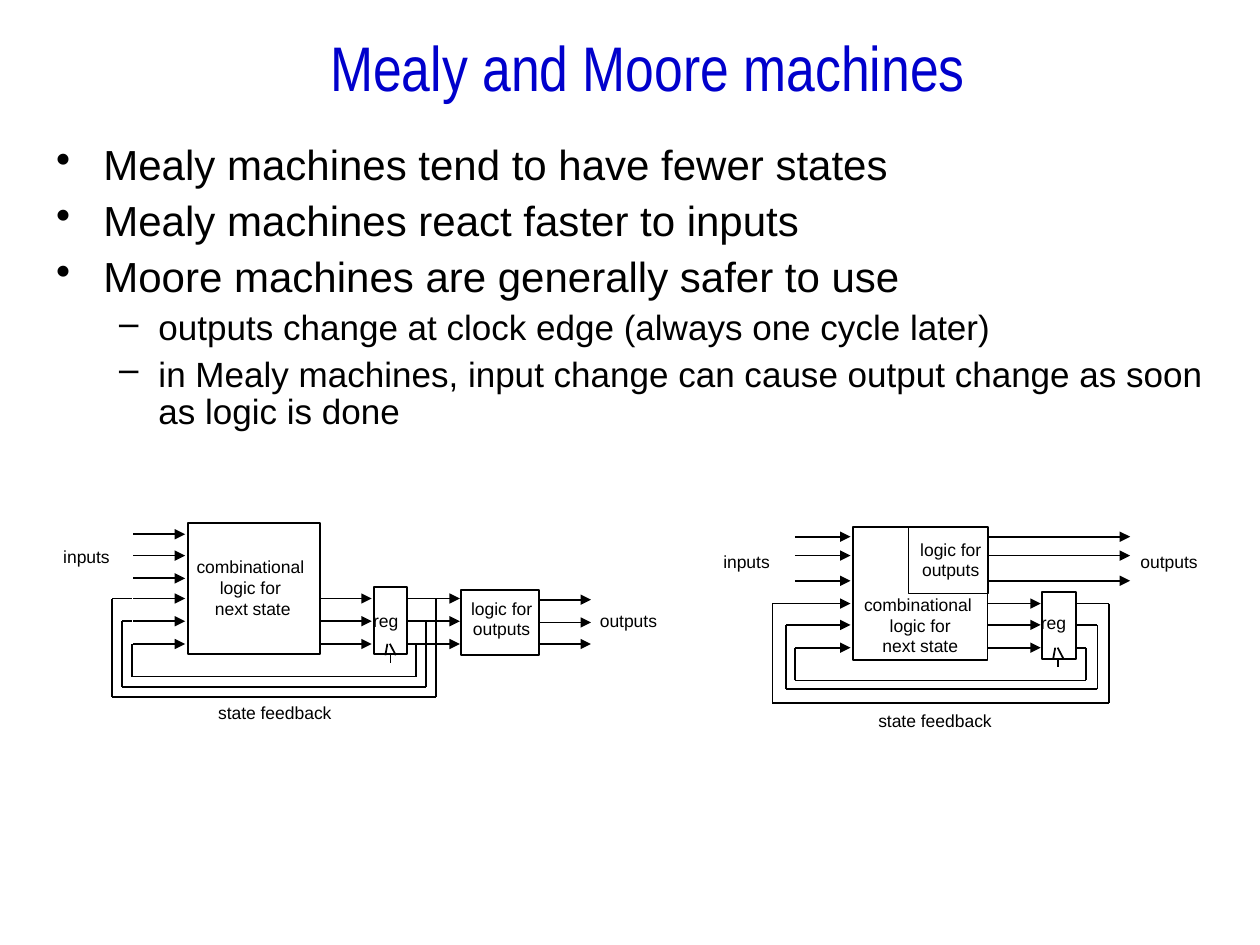
from lxml import etree
from pptx import Presentation
from pptx.dml.color import RGBColor
from pptx.enum import shapes, text
from pptx.oxml import ns
from pptx.util import Pt

COLORS = {"ink": "000000", "title": "0000CC", "paper": "FFFFFF"}

BULLETS = [
    (0, "Mealy machines tend to have fewer states"),
    (0, "Mealy machines react faster to inputs"),
    (0, "Moore machines are generally safer to use"),
    (1, "outputs change at clock edge (always one cycle later)"),
    (1, "in Mealy machines, input change can cause output change as soon as logic is done"),
]
LEVELS = [
    {"mark": "•", "size": 24, "before": 6, "margin": 27, "hang": 27},
    {"mark": "–", "size": 20, "before": 5, "margin": 58.5, "hang": 22.5},
]

MOORE = {
    "boxes": [(107.3, 298.8, 75.6, 74.9), (213.8, 335.5, 18.7, 38.2), (263.5, 337, 44.6, 37.4)],
    "arrows": [
        (76.3, 105.8, (305.3, 317.5, 330.5, 342, 355, 368)),
        (182.9, 212.4, (342, 355, 368)),
        (233.3, 262.8, (342, 355, 368)),
        (308.2, 337.7, (342.7, 355.7, 368)),
    ],
    "feedback": (232.6, 75.6, [(368, 237.6, 386.6, 75.6), (355, 243.4, 392.4, 69.8),
                               (342, 249.1, 398.2, 64.1)]),
    "clock": (223.2, 374.4),
    "labels": [
        ("inputs", 34.6, 310.3, 38, False),
        ("outputs", 341.3, 347, 45, False),
        ("reg", 211.7, 347, 30, False),
        ("state feedback", 123.1, 399.6, 109, False),
        ("combinational \nlogic for \nnext state", 106.6, 316.1, 75.6, True),
        ("logic for\noutputs", 258.5, 339.8, 56.2, True),
    ],
}

MEALY = {
    "boxes": [(487.4, 301, 77, 76.3), (595.4, 338.4, 19.4, 38.2), (519.1, 301, 45.4, 38.2)],
    "arrows": [
        (454.3, 486, (306.7, 317.5, 331.9, 344.9, 357.1, 370.1)),
        (564.5, 645.8, (306.7, 317.5, 331.9)),
        (564.5, 594.7, (344.9, 357.1, 370.1)),
    ],
    "feedback": (615.6, 454.3, [(370.1, 620.6, 388.8, 454.3), (357.1, 627.1, 393.8, 449.3),
                                (344.9, 633.6, 401.8, 441.4)]),
    "clock": (604.8, 376.6),
    "labels": [
        ("inputs", 411.8, 313.2, 40, False),
        ("outputs", 650.2, 313.2, 46, False),
        ("reg", 593.3, 347.8, 32, False),
        ("state feedback", 500.4, 403.9, 114, False),
        ("combinational \nlogic for\nnext state", 487.4, 337.7, 77, True),
        ("logic for\noutputs", 514.1, 306, 58.3, True),
    ],
}


def color(name):
    return RGBColor.from_string(COLORS[name])


def set_font(paragraph, name, size, color_name):
    font = paragraph.font
    font.name, font.size = name, Pt(size)
    font.color.rgb = color(color_name)


def add_title(slide, words):
    title = slide.shapes.title
    title.left, title.top, title.width, title.height = Pt(19), Pt(8), Pt(702), Pt(60)
    frame = title.text_frame
    frame.text = words
    frame.auto_size = text.MSO_AUTO_SIZE.NONE
    frame.vertical_anchor = text.MSO_ANCHOR.MIDDLE
    paragraph = frame.paragraphs[0]
    paragraph.alignment = text.PP_ALIGN.CENTER
    set_font(paragraph, "Arial Narrow", 36, "title")


def add_bullets(slide, bullets):
    box = slide.shapes.add_textbox(Pt(25), Pt(79), Pt(678), Pt(384))
    frame = box.text_frame
    frame.word_wrap = True
    for index, (level, words) in enumerate(bullets):
        style = LEVELS[level]
        paragraph = frame.add_paragraph() if index else frame.paragraphs[0]
        paragraph.text = words
        paragraph.level = level
        paragraph.line_spacing = 0.9
        paragraph.space_before = Pt(style["before"])
        properties = paragraph._p.get_or_add_pPr()
        properties.set("marL", str(Pt(style["margin"])))
        properties.set("indent", str(-Pt(style["hang"])))
        etree.SubElement(properties, ns.qn("a:buChar"), char=style["mark"])
        set_font(paragraph, "Arial", style["size"], "ink")


def add_box(slide, left, top, width, height):
    box = slide.shapes.add_shape(shapes.MSO_SHAPE.RECTANGLE, Pt(left), Pt(top), Pt(width), Pt(height))
    box.shadow.inherit = False
    box.fill.solid()
    box.fill.fore_color.rgb = color("paper")
    box.line.color.rgb = color("ink")
    box.line.width = Pt(1)


def add_line(slide, start, end, arrow=False):
    line = slide.shapes.add_connector(
        shapes.MSO_CONNECTOR.STRAIGHT, Pt(start[0]), Pt(start[1]), Pt(end[0]), Pt(end[1]))
    line.line.color.rgb = color("ink")
    line.line.width = Pt(1)
    if arrow:
        etree.SubElement(line.line._get_or_add_ln(), ns.qn("a:tailEnd"), type="triangle")
    etree.SubElement(line._element.spPr, ns.qn("a:effectLst"))


def add_feedback(slide, start, end, row, right, bottom, left):
    points = [(start, row), (right, row), (right, bottom), (left, bottom), (left, row)]
    if left < end:
        points.append((end, row))
    for first, second in zip(points, points[1:]):
        add_line(slide, first, second)


def add_clock_mark(slide, x, y):
    add_line(slide, (x - 3, y), (x - 1.8, y - 6.5))
    add_line(slide, (x + 3, y), (x - 0.4, y - 6.5))
    add_line(slide, (x, y), (x, y + 4.7))


def add_label(slide, words, left, top, width, centered):
    label = slide.shapes.add_textbox(Pt(left), Pt(top), Pt(width), Pt(42))
    frame = label.text_frame
    frame.word_wrap = False
    frame.margin_left = frame.margin_right = Pt(1.5)
    frame.margin_top = frame.margin_bottom = Pt(2)
    paragraph = frame.paragraphs[0]
    paragraph.text = words
    paragraph.alignment = text.PP_ALIGN.CENTER if centered else text.PP_ALIGN.LEFT
    paragraph.line_spacing = Pt(11.8)
    set_font(paragraph, "Arial", 10, "ink")


def add_machine(slide, machine):
    for box in machine["boxes"]:
        add_box(slide, *box)
    for start, end, rows in machine["arrows"]:
        for row in rows:
            add_line(slide, (start, row), (end, row), arrow=True)
    start, end, loops = machine["feedback"]
    for loop in loops:
        add_feedback(slide, start, end, *loop)
    add_clock_mark(slide, *machine["clock"])
    for label in machine["labels"]:
        add_label(slide, *label)


def main():
    presentation = Presentation()
    presentation.slide_width, presentation.slide_height = Pt(720), Pt(540)
    slide = presentation.slides.add_slide(presentation.slide_layouts[5])
    for machine in (MOORE, MEALY):
        add_machine(slide, machine)
    add_title(slide, "Mealy and Moore machines")
    add_bullets(slide, BULLETS)
    presentation.save("out.pptx")


if __name__ == "__main__":
    main()
